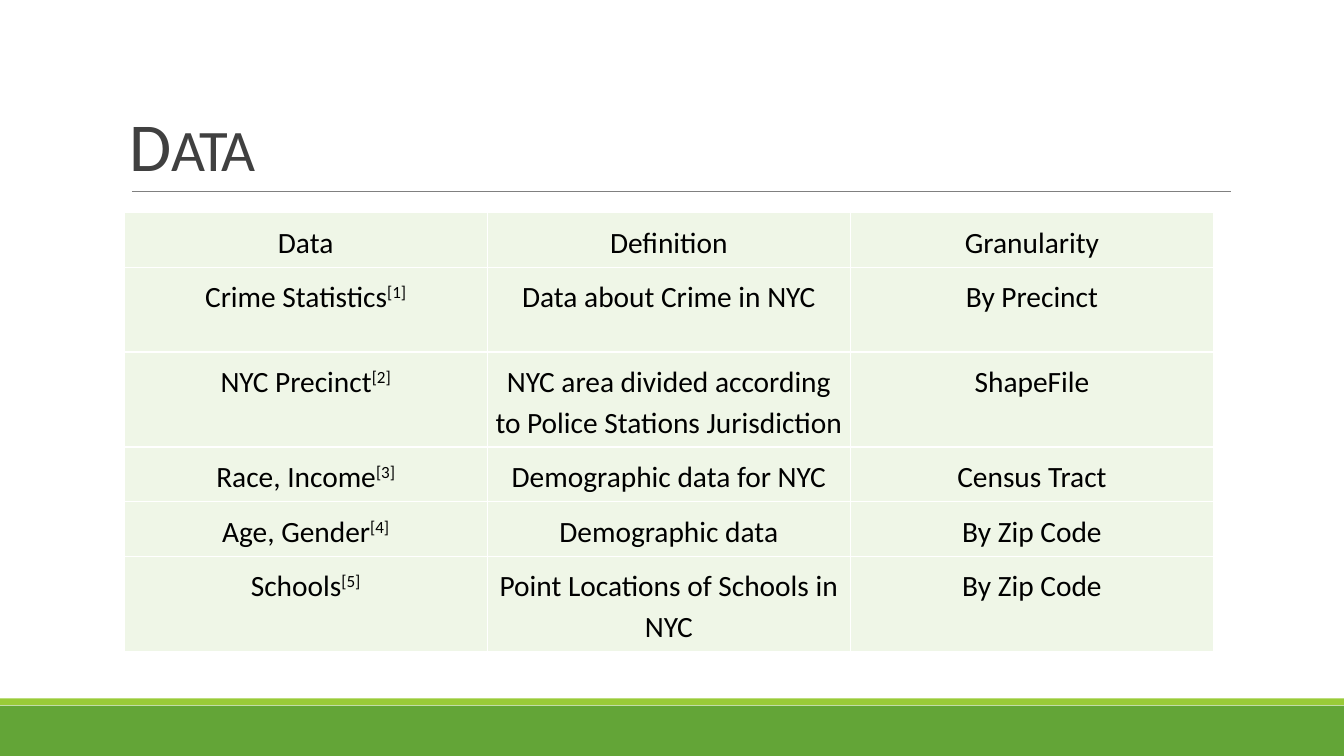
from lxml.etree import SubElement
from pptx import Presentation
from pptx.dml.color import RGBColor
from pptx.enum.shapes import MSO_CONNECTOR, MSO_SHAPE
from pptx.enum.text import MSO_ANCHOR, PP_ALIGN
from pptx.oxml.ns import qn
from pptx.util import Pt

COLORS = {
    "footer": "63A537",
    "footer_edge": "99CB38",
    "rule": "808080",
    "title": "404040",
    "cell": "EFF6E7",
    "border": "FFFFFF",
    "text": "000000",
}
FONT = "Calibri"
COLUMN_WIDTH = 259.4
ROW_HEIGHTS = [33.8, 60.5, 60.5, 34.5, 33.8, 59]
HEADINGS = ("Data", "Definition", "Granularity")
SOURCES = [
    ("Crime Statistics", "Data about Crime in NYC", "By Precinct"),
    ("NYC Precinct", "NYC area divided according to Police Stations Jurisdiction", "ShapeFile"),
    ("Race, Income", "Demographic data for NYC", "Census Tract"),
    ("Age, Gender", "Demographic data", "By Zip Code"),
    ("Schools", "Point Locations of Schools in NYC", "By Zip Code"),
]


def rgb(name):
    """Return the named colour."""
    return RGBColor.from_string(COLORS[name])


def add_band(slide, top, height, color):
    """Draw a full-width band."""
    band = slide.shapes.add_shape(MSO_SHAPE.RECTANGLE, Pt(0), Pt(top), Pt(960), Pt(height))
    band.shadow.inherit = False
    band.fill.solid()
    band.fill.fore_color.rgb = rgb(color)
    band.line.fill.background()


def add_rule(slide, left, right, y):
    """Draw the thin rule under the title."""
    rule = slide.shapes.add_connector(MSO_CONNECTOR.STRAIGHT, Pt(left), Pt(y), Pt(right), Pt(y))
    rule.line.color.rgb = rgb("rule")
    rule.line.width = Pt(0.5)
    SubElement(rule._element.spPr, qn("a:effectLst"))


def add_title(slide, initial, rest):
    """Write the title with a larger initial."""
    frame = slide.shapes.add_textbox(Pt(88.6), Pt(21.6), Pt(792), Pt(114.5)).text_frame
    frame.word_wrap = True
    frame.vertical_anchor = MSO_ANCHOR.BOTTOM
    frame.margin_left = frame.margin_right = Pt(3.6)
    frame.margin_top = frame.margin_bottom = Pt(3.6)
    heading = frame.paragraphs[0]
    heading.line_spacing = 0.85
    heading.font.name = FONT
    heading.font.color.rgb = rgb("title")
    for text, size in ((initial, 49), (rest, 42)):
        letters = heading.add_run()
        letters.text = text
        letters.font.size = Pt(size)
        letters.font._element.set("spc", "-100")


def add_borders(cell):
    """Give a cell thin borders on all sides."""
    properties = cell._tc.get_or_add_tcPr()
    for position, side in enumerate(("a:lnL", "a:lnR", "a:lnT", "a:lnB")):
        border = SubElement(properties, qn(side), w=str(Pt(1)))
        fill = SubElement(border, qn("a:solidFill"))
        SubElement(fill, qn("a:srgbClr"), val=COLORS["border"])
        properties.insert(position, border)


def fill_cell(cell, text, reference=None):
    """Write a centred cell with an optional raised reference."""
    cell.fill.solid()
    cell.fill.fore_color.rgb = rgb("cell")
    add_borders(cell)
    cell.margin_left = cell.margin_right = Pt(5)
    cell.margin_top = cell.margin_bottom = Pt(5)
    entry = cell.text_frame.paragraphs[0]
    entry.alignment = PP_ALIGN.CENTER
    entry.line_spacing = 1.15
    entry.font.name = FONT
    entry.font.size = Pt(21)
    entry.font.color.rgb = rgb("text")
    entry.add_run().text = text
    if reference:
        mark = entry.add_run()
        mark.text = f"[{reference}]"
        mark.font._element.set("baseline", "30000")


def add_source_table(slide):
    """Build the table of data sources."""
    rows = [HEADINGS, *SOURCES]
    table = slide.shapes.add_table(
        len(rows), len(HEADINGS), Pt(88.6), Pt(151.9),
        Pt(COLUMN_WIDTH * len(HEADINGS)), Pt(sum(ROW_HEIGHTS)),
    ).table
    table.first_row = table.horz_banding = False
    for column in table.columns:
        column.width = Pt(COLUMN_WIDTH)
    for number, (height, texts) in enumerate(zip(ROW_HEIGHTS, rows)):
        table.rows[number].height = Pt(height)
        for position, text in enumerate(texts):
            fill_cell(table.cell(number, position), text, number if position == 0 else None)


def main():
    """Build and save the slide."""
    deck = Presentation()
    deck.slide_width, deck.slide_height = Pt(960), Pt(540)
    slide = deck.slides.add_slide(deck.slide_layouts[6])
    add_band(slide, 504, 36, "footer")
    add_band(slide, 498.8, 5, "footer_edge")
    add_rule(slide, 94.3, 879, 136.8)
    add_title(slide, "D", "ATA")
    add_source_table(slide)
    deck.save("out.pptx")


if __name__ == "__main__":
    main()
